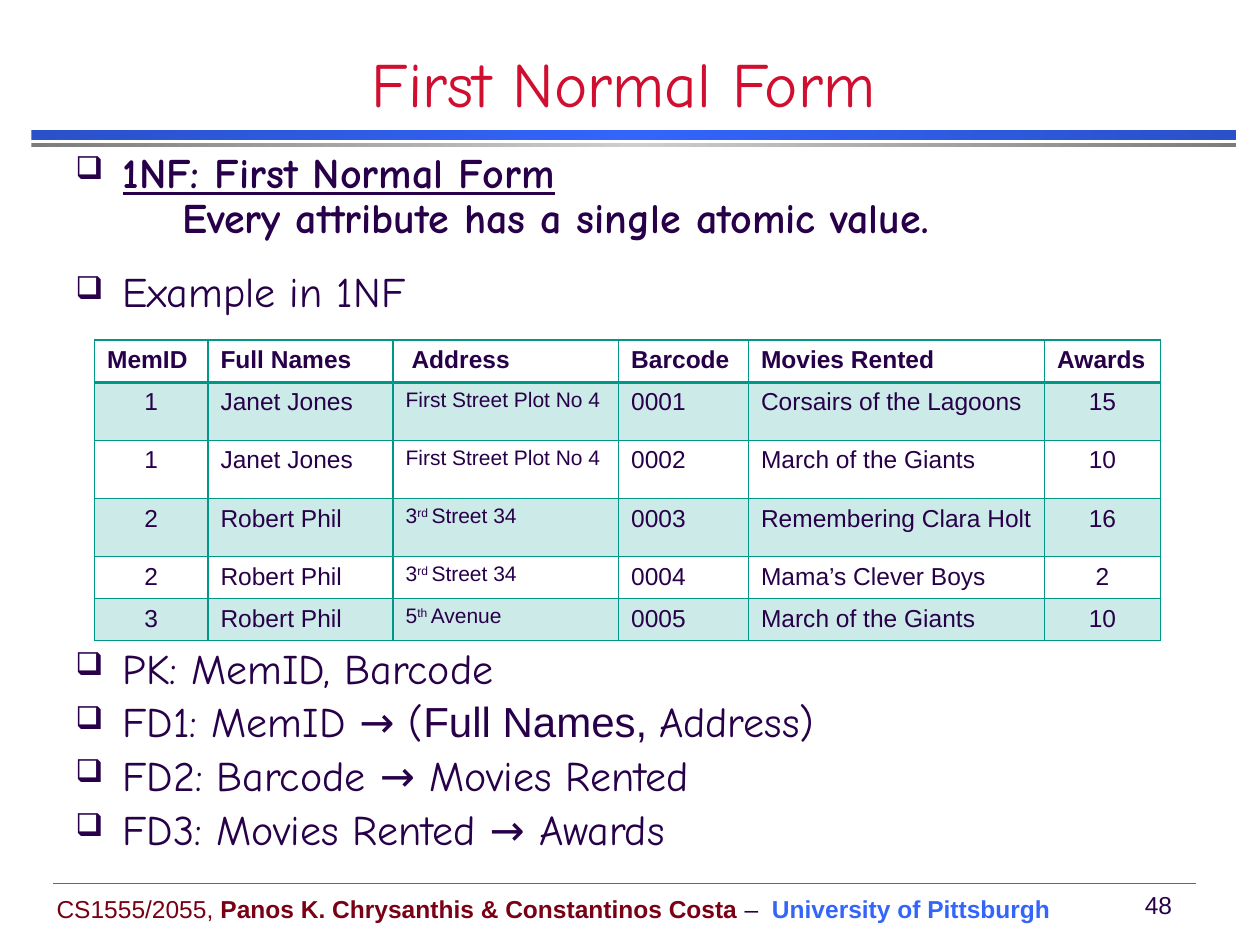
"""Build the First Normal Form slide with its example table."""
from copy import deepcopy

from lxml import etree
from pptx import Presentation
from pptx.dml.color import RGBColor
from pptx.enum.shapes import MSO_CONNECTOR as Connector, MSO_SHAPE as Shape
from pptx.enum.text import MSO_ANCHOR as Anchor, MSO_AUTO_SIZE as AutoSize, PP_ALIGN as Align
from pptx.oxml.ns import qn
from pptx.util import Pt

INK, TEAL, RED, MAROON, BLUE = "280049", "009688", "CF0E30", "790015", "3365FB"
rgb = RGBColor.from_string


def style(font, name, size, colour=INK, bold=False):
    font.name, font.size, font.bold = name, Pt(size), bold
    font.color.rgb = rgb(colour)


def add_box(left, top, width, height, anchor):
    frame = slide.shapes.add_textbox(Pt(left), Pt(top), Pt(width), Pt(height)).text_frame
    frame.word_wrap = True
    frame.vertical_anchor = anchor
    return frame


deck = Presentation()
deck.slide_width, deck.slide_height = Pt(720), Pt(540)
slide = deck.slides.add_slide(deck.slide_layouts[5])

title = slide.shapes.title
title.left, title.top, title.width, title.height = Pt(0), Pt(30.2), Pt(712.8), Pt(41.8)
title.text_frame.text = "First Normal Form"
title.text_frame.vertical_anchor = Anchor.BOTTOM
title.text_frame.auto_size = AutoSize.NONE
para = title.text_frame.paragraphs[0]
para.alignment = Align.CENTER
style(para.font, "Comic Neue", 36, RED)

for top, height, edge, middle in ((74.2, 5.8, "2951C9", BLUE), (82, 2.2, "7C7C7C", "CECECE")):
    bar = slide.shapes.add_shape(Shape.RECTANGLE, Pt(18), Pt(top), Pt(688.3), Pt(height))
    bar.shadow.inherit = False
    bar.line.fill.background()
    bar.fill.gradient()
    bar.fill.gradient_angle = 0
    last_stop = bar.element.findall(".//" + qn("a:gs"))[-1]
    last_stop.addnext(deepcopy(last_stop))
    for stop, place, colour in zip(bar.fill.gradient_stops, (0, 0.5, 1), (edge, middle, edge)):
        stop.position = place
        stop.color.rgb = rgb(colour)

body = add_box(36, 72, 630, 437.8, Anchor.TOP)
body.margin_top = Pt(14.8)
HANG, GAP = 27, 4.8
points = [
    (["1NF: First Normal Form"], True, 0, True),
    (["Every attribute has a single atomic value."], False, 0, True),
    (["Example in 1NF"], True, 16.6, False),
    (["PK: MemID, Barcode"], True, 189, False),
    (["FD1: MemID → (", "Full Names, ", "Address)"], True, GAP, False),
    (["FD2: Barcode → Movies Rented"], True, GAP, False),
    (["FD3: Movies Rented → Awards"], True, GAP, False),
]
for number, (texts, bulleted, before, bold) in enumerate(points):
    para = body.add_paragraph() if number else body.paragraphs[0]
    props = para._p.get_or_add_pPr()
    props.set("marL", str(Pt(HANG if bulleted else 61)))
    props.set("indent", str(Pt(-HANG if bulleted else 0)))
    if bulleted:
        bullet_colour = etree.SubElement(props, qn("a:buClr"))
        etree.SubElement(bullet_colour, qn("a:srgbClr"), val=INK)
        etree.SubElement(props, qn("a:buSzPct"), val="75000")
        etree.SubElement(props, qn("a:buChar"), char="❑")
    para.line_spacing = 0.9
    para.space_before = Pt(before)
    style(para.font, "Comic Neue", 24, INK, bold)
    for text in texts:
        span = para.add_run()
        span.text = text
        if text == "Full Names, ":
            span.font.name = "Arial"
body.paragraphs[0].font.underline = True

rows = [
    ("MemID", "Full Names", " Address", "Barcode", "Movies Rented", "Awards"),
    ("1", "Janet Jones", "First Street Plot No 4", "0001", "Corsairs of the Lagoons", "15"),
    ("1", "Janet Jones", "First Street Plot No 4", "0002", "March of the Giants", "10"),
    ("2", "Robert Phil", "3|rd |Street 34", "0003", "Remembering Clara Holt", "16"),
    ("2", "Robert Phil", "3|rd |Street 34", "0004", "Mama’s Clever Boys", "2"),
    ("3", "Robert Phil", "5|th |Avenue", "0005", "March of the Giants", "10"),
]
widths = (64.8, 105.8, 128.9, 74.2, 169.2, 66.2)
heights = (23, 33.2, 33.2, 33.2, 23, 23)
table = slide.shapes.add_table(len(rows), len(widths), Pt(54), Pt(194.4),
                               Pt(sum(widths)), Pt(sum(heights))).table
table.horz_banding = False
for column, width in zip(table.columns, widths):
    column.width = Pt(width)
for row_number, (texts, height) in enumerate(zip(rows, heights)):
    table.rows[row_number].height = Pt(height)
    header = row_number == 0
    for column_number, text in enumerate(texts):
        cell = table.cell(row_number, column_number)
        para = cell.text_frame.paragraphs[0]
        if not header and column_number in (0, 5):
            para.alignment = Align.CENTER
        size = 12 if column_number == 2 and not header else 14
        style(para.font, "Arial", size, INK, header)
        for part_number, part in enumerate(text.split("|")):
            span = para.add_run()
            span.text = part
            style(span.font, "Arial", size, INK, header)
            if part_number == 1:
                span.font._element.set("baseline", "30000")

        props = cell._tc.get_or_add_tcPr()
        if row_number % 2:
            cell.fill.solid()
            cell.fill.fore_color.rgb = rgb(TEAL)
            etree.SubElement(props.find(".//" + qn("a:srgbClr")), qn("a:alpha"), val="20000")
        else:
            cell.fill.background()
        for position, side in enumerate(("lnL", "lnR", "lnT", "lnB")):
            thick = (header and side == "lnB") or (row_number == 1 and side == "lnT")
            border = etree.Element(qn(f"a:{side}"), w=str(Pt(2 if thick else 1)))
            border_fill = etree.SubElement(border, qn("a:solidFill"))
            etree.SubElement(border_fill, qn("a:srgbClr"), val=TEAL)
            props.insert(position, border)

rule = slide.shapes.add_connector(Connector.STRAIGHT, Pt(30.2), Pt(504.7), Pt(683.3), Pt(504.7))
rule.line.width = Pt(0.25)
rule.line.color.rgb = rgb(TEAL)
etree.SubElement(rule.element.spPr, qn("a:effectLst"))

footer = add_box(25.2, 507, 600, 24, Anchor.MIDDLE).paragraphs[0]
for text, colour, bold in (
    ("CS1555/2055, ", MAROON, False),
    ("Panos K. Chrysanthis & Constantinos Costa", MAROON, True),
    (" –  ", INK, False),
    ("University of Pittsburgh", BLUE, True),
):
    span = footer.add_run()
    span.text = text
    style(span.font, "Arial", 14, colour, bold)

page_number = add_box(644.5, 505, 35, 24, Anchor.MIDDLE).paragraphs[0]
page_number.text = "48"
page_number.alignment = Align.CENTER
style(page_number.font, "Arial", 14)

deck.save("out.pptx")
